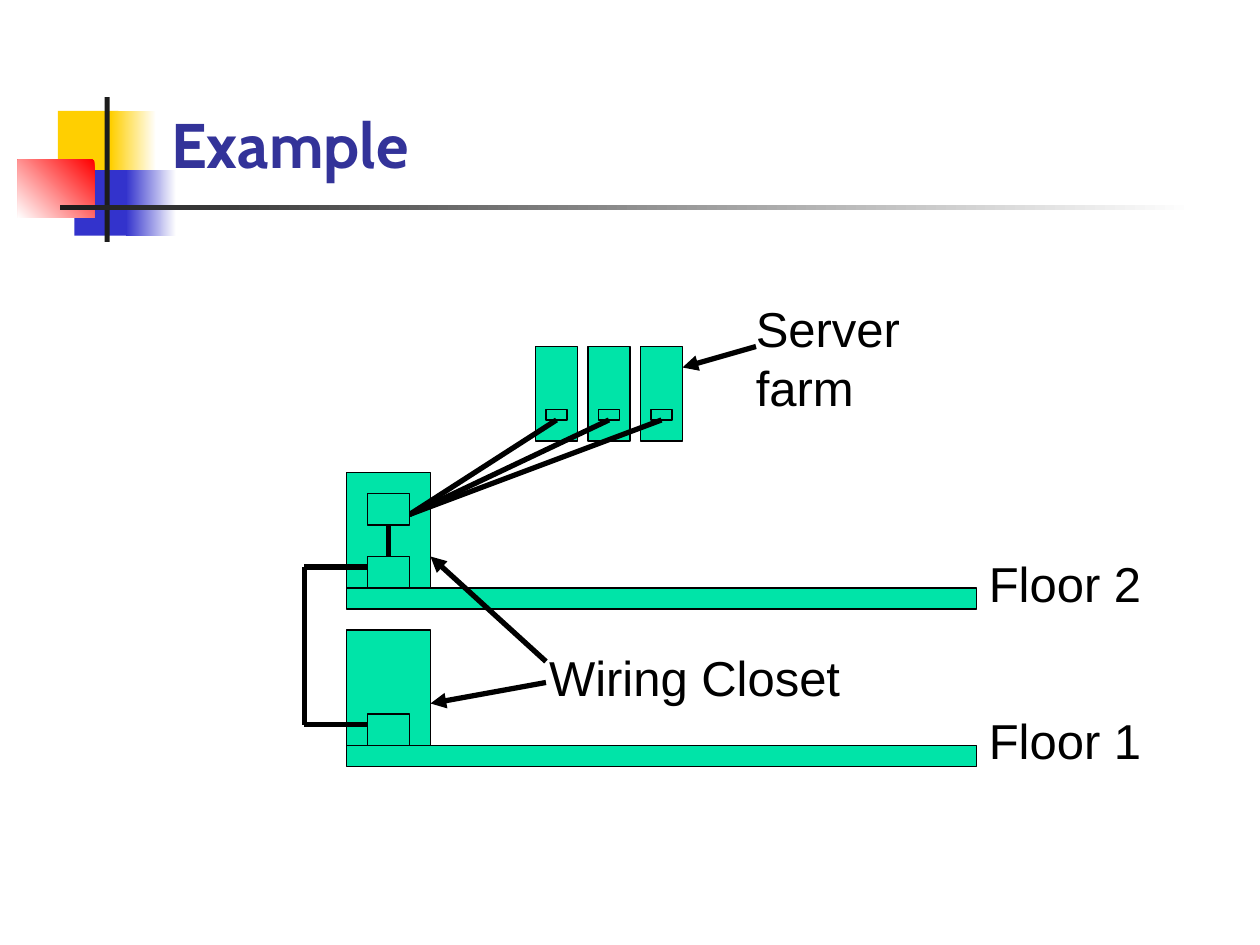
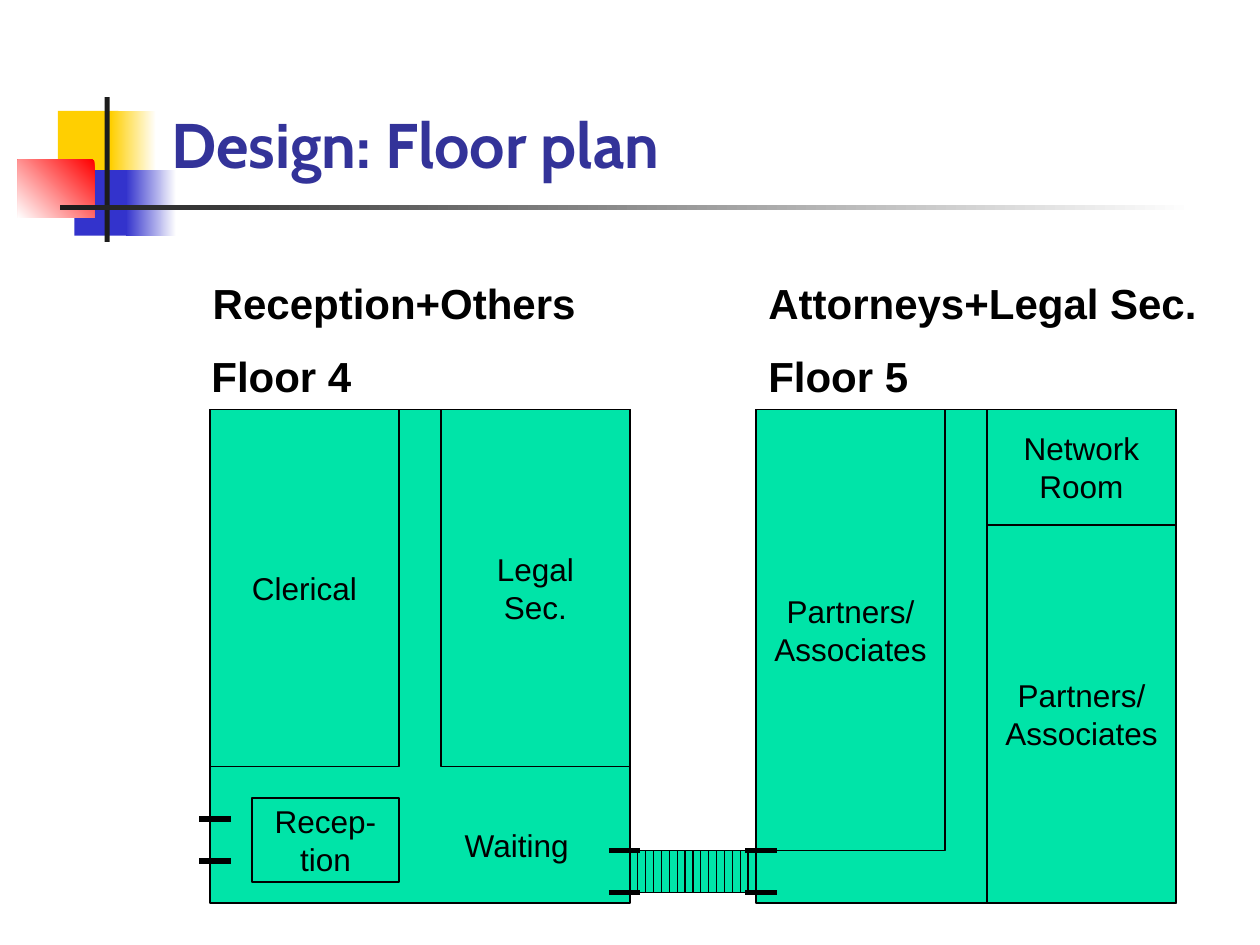
from lxml import etree
from pptx import Presentation
from pptx import util as u
from pptx.dml.color import RGBColor
from pptx.enum import shapes, text
from pptx.oxml import ns

COLORS = {
    "title": "333399", "ink": "000000", "room": "00E4A8", "white": "FFFFFF",
    "yellow": "FFCF01", "blue": "3333CC", "red": "FF0000", "rule": "1C1C1C",
}
THICK, THIN = 3, 0.75

# Shared header: box in inches, then one colour or (from, to, angle)
HEADER = [
    ((0.46, 0.88, 0.48, 0.52), "yellow"),
    ((0.88, 0.88, 0.36, 0.52), ("white", "yellow", 180)),
    ((0.59, 1.35, 0.46, 0.52), "blue"),
    ((1, 1.35, 0.4, 0.52), ("white", "blue", 180)),
    ((0.14, 1.27, 0.61, 0.46), ("red", "white", 225)),
    ((0.83, 0.77, 0.04, 1.15), "rule"),
    ((0.48, 1.63, 9, 0.04), ("white", "rule", 180)),
]
TITLE_BOX = (1.26, 0.9, 8.52, 0.59)

# Diagram boxes and lines are in grid units of a twelfth of an inch
UNIT = 12

# Slide 1: wiring between floors
FLOOR_TOPS = (56, 71)
CLOSET_X, CLOSET_H = 33, 11
CORE_SWITCH = (35, 47, 4, 3)
BACKBONE = [(35, 54), (29, 54), (29, 69), (35, 69)]
SERVER_XS = (51, 56, 61)
SERVER_WIRES_START = (39, 49)
ARROWS = [((52, 63), (41, 53)), ((52, 65), (41, 67)), ((72, 33), (65, 35))]
WIRING_LABELS = [
    ("Wiring Closet", (4.26, 5.09, 2.7, 0.57)),
    ("Server\nfarm", (5.9, 2.32, 1.6, 1.04)),
    ("Floor 2", (7.75, 4.34, 1.6, 0.57)),
    ("Floor 1", (7.75, 5.59, 1.6, 0.57)),
]

# Slide 2: floor plan
PLAN_HEADINGS = [
    ("Reception+Others", (1.59, 2.15, 3.3, 0.5)),
    ("Floor 4", (1.58, 2.73, 1.5, 0.5)),
    ("Attorneys+Legal Sec.", (6, 2.15, 3.8, 0.5)),
    ("Floor 5", (6, 2.73, 1.5, 0.5)),
]
ROOMS = [
    ("", (20, 39, 40, 47)),
    ("", (72, 39, 40, 47)),
    ("Recep-\ntion", (24, 76, 14, 8)),
    ("Clerical", (20, 39, 18, 34)),
    ("Legal\nSec.", (42, 39, 18, 34)),
    ("Partners/\nAssociates", (72, 39, 18, 42)),
    ("Partners/\nAssociates", (94, 50, 18, 36)),
    ("Network\nRoom", (94, 39, 18, 11)),
]
WAITING = ("Waiting", (3.59, 6.51, 1.2, 0.4))
STAIRS, STEPS = (60, 81, 12, 4), 16
DOORS = [(19, 78), (19, 82), (58, 81), (58, 85), (71, 81), (71, 85)]
DOOR_W = 3


def rgb(name):
    return RGBColor.from_string(COLORS[name])


def grid(values):
    return [v / UNIT for v in values]


def write(tf, content, size=18, font="Arial", color="ink", bold=False,
          align=text.PP_ALIGN.LEFT, anchor=text.MSO_ANCHOR.TOP):
    tf.word_wrap = True
    tf.vertical_anchor = anchor
    for i, line in enumerate(content.split("\n")):
        p = tf.paragraphs[0] if i == 0 else tf.add_paragraph()
        p.alignment = align
        r = p.add_run()
        r.text = line
        r.font.name, r.font.size, r.font.bold = font, u.Pt(size), bold
        r.font.color.rgb = rgb(color)


def add_label(s, content, box, **fmt):
    write(s.shapes.add_textbox(*map(u.Inches, box)).text_frame, content, **fmt)


def add_rect(s, box, fill, line=None):
    sp = s.shapes.add_shape(shapes.MSO_SHAPE.RECTANGLE, *map(u.Inches, box))
    sp.shadow.inherit = False
    if isinstance(fill, tuple):
        *ends, angle = fill
        sp.fill.gradient()
        sp.fill.gradient_angle = angle
        for stop, name in zip(sp.fill.gradient_stops, ends):
            stop.color.rgb = rgb(name)
    else:
        sp.fill.solid()
        sp.fill.fore_color.rgb = rgb(fill)
    if line:
        sp.line.color.rgb, sp.line.width = rgb(line), u.Pt(THIN)
    else:
        sp.line.fill.background()
    return sp


def add_block(s, *box):
    return add_rect(s, grid(box), "room", "ink")


def add_line(s, start, end, width=THICK, arrow=False):
    cx = s.shapes.add_connector(shapes.MSO_CONNECTOR.STRAIGHT,
                                *map(u.Inches, grid((*start, *end))))
    cx.line.color.rgb, cx.line.width = rgb("ink"), u.Pt(width)
    if arrow:
        ln = cx._element.spPr.find(ns.qn("a:ln"))
        etree.SubElement(ln, ns.qn("a:tailEnd"), type="triangle")
    etree.SubElement(cx._element.spPr, ns.qn("a:effectLst"))
    return cx


def add_slide(prs, title):
    s = prs.slides.add_slide(prs.slide_layouts[6])
    for box, fill in HEADER:
        add_rect(s, box, fill)
    add_label(s, title, TITLE_BOX, size=36, font="Cabin", color="title",
              bold=True, anchor=text.MSO_ANCHOR.BOTTOM)
    return s


def build_wiring(prs):
    s = add_slide(prs, "Example")
    # Floors, each with a closet and a switch standing on it
    switches = []
    for top in FLOOR_TOPS:
        add_block(s, CLOSET_X, top, 60, 2)
        add_block(s, CLOSET_X, top - CLOSET_H, 8, CLOSET_H)
        switches.append(add_block(s, CLOSET_X + 2, top - 3, 4, 3))
    for start, end in zip(BACKBONE, BACKBONE[1:]):
        add_line(s, start, end)
    # Server farm, then its wires on top
    ports = []
    for x in SERVER_XS:
        add_block(s, x, 33, 4, 9)
        ports.append((x, add_block(s, x + 1, 39, 2, 1)))
    for x, port in ports:
        add_line(s, SERVER_WIRES_START, (x + 2, 40)).end_connect(port, 2)
    core = add_block(s, *CORE_SWITCH)
    link = add_line(s, (37, 50), (37, 53))
    link.begin_connect(core, 2)
    link.end_connect(switches[0], 0)
    # Labels and their arrows
    for content, box in WIRING_LABELS:
        add_label(s, content, box, size=28)
    for start, end in ARROWS:
        add_line(s, start, end, arrow=True)


def build_floor_plan(prs):
    s = add_slide(prs, "Design: Floor plan")
    for content, box in PLAN_HEADINGS:
        add_label(s, content, box, size=24, bold=True)
    for content, box in ROOMS:
        sp = add_block(s, *box)
        if content:
            write(sp.text_frame, content, align=text.PP_ALIGN.CENTER,
                  anchor=text.MSO_ANCHOR.MIDDLE)
    # Stairs between the floors, and the doors
    x, y, w, h = STAIRS
    add_block(s, *STAIRS)
    for i in range(1, STEPS):
        step_x = x + i * w / STEPS
        add_line(s, (step_x, y), (step_x, y + h), width=THIN)
    for door_x, door_y in DOORS:
        add_line(s, (door_x, door_y), (door_x + DOOR_W, door_y))
    add_label(s, *WAITING)


def main():
    prs = Presentation()
    prs.slide_width, prs.slide_height = u.Inches(10), u.Inches(7.5)
    build_wiring(prs)
    build_floor_plan(prs)
    prs.save("out.pptx")


if __name__ == "__main__":
    main()
